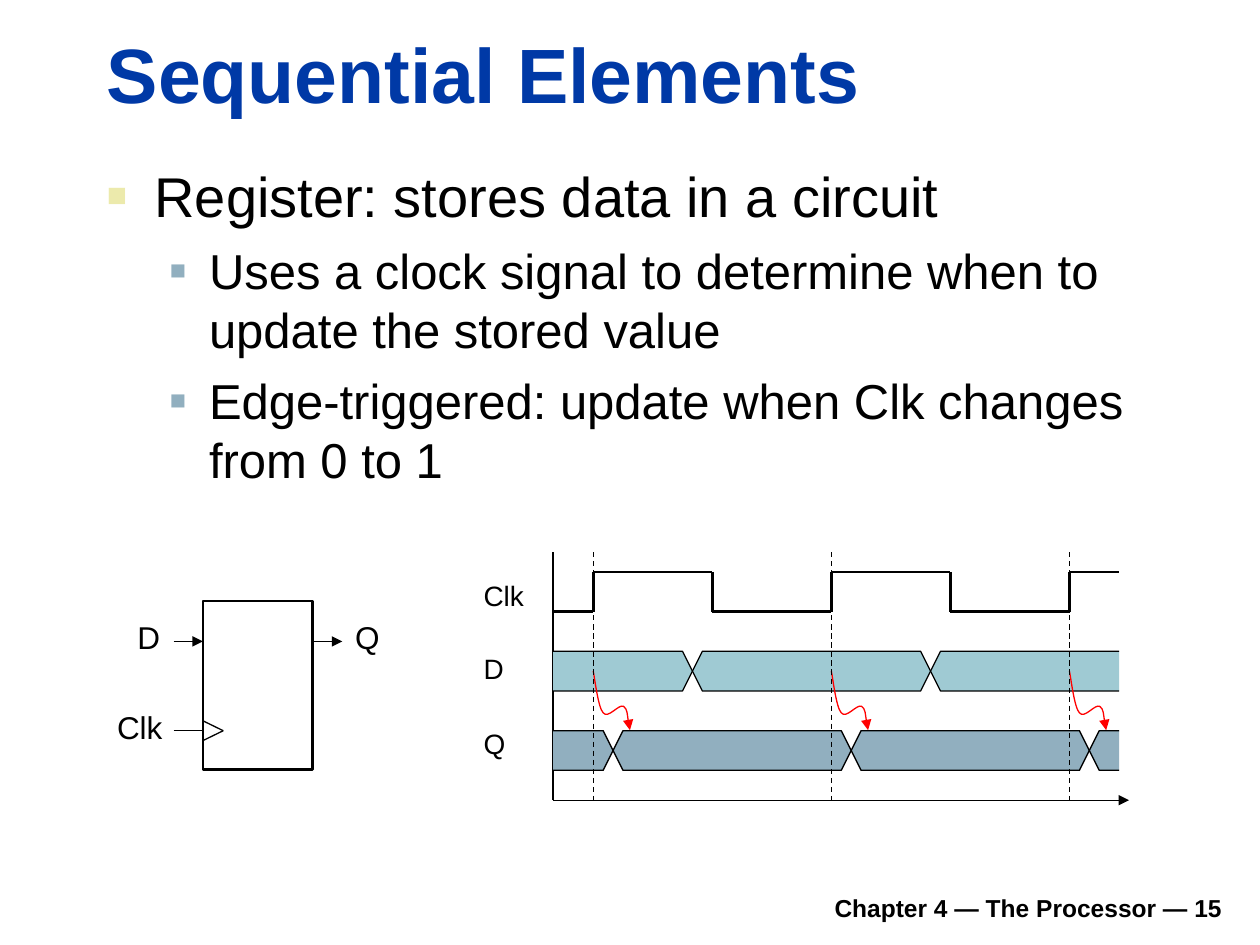
"""Build the slide on sequential elements: bullets, a register and its timing diagram."""
from lxml.etree import SubElement
from pptx import Presentation
from pptx.dml.color import RGBColor
from pptx.enum.dml import MSO_LINE_DASH_STYLE as Dash
from pptx.enum.shapes import MSO_CONNECTOR as Link, MSO_SHAPE as Form
from pptx.enum.text import MSO_ANCHOR as Anchor, MSO_AUTO_SIZE as Fit, PP_ALIGN as Align
from pptx.oxml.ns import qn
from pptx.util import Cm, Pt

BLACK = RGBColor(0x00, 0x00, 0x00)
BLUE = RGBColor(0x00, 0x39, 0xA6)
CREAM = RGBColor(0xEC, 0xEA, 0xAC)
STEEL = RGBColor(0x91, 0xAF, 0xBF)
TEAL = RGBColor(0x9F, 0xCA, 0xD3)
RED = RGBColor(0xFF, 0x00, 0x00)
LEFT, END, RISE, CYCLE = 11.15, 22.56, 11.96, 4.8
HIGH, LOW = 11.53, 12.33
TOP, BASE = 11.13, 16.13

deck = Presentation()
deck.slide_width, deck.slide_height = Cm(25.4), Cm(19.05)
slide = deck.slides.add_slide(deck.slide_layouts[1])
shapes = slide.shapes


def ink(shape, color=BLACK, width=0.75, tip=False, dash=None):
    shape.line.color.rgb = color
    shape.line.width = Pt(width)
    if dash:
        shape.line.dash_style = dash
    props = shape._element.spPr
    if tip:
        SubElement(props.find(qn("a:ln")), qn("a:tailEnd"), type="triangle")
    SubElement(props, qn("a:effectLst"))


def wire(x1, y1, x2, y2, **style):
    line = shapes.add_connector(Link.STRAIGHT, Cm(x1), Cm(y1), Cm(x2), Cm(y2))
    ink(line, **style)


title, body = slide.placeholders
title.left, title.top, title.width, title.height = Cm(1.9), Cm(0.41), Cm(22.94), Cm(2.11)
title.text_frame.text = "Sequential Elements"
title.text_frame.vertical_anchor = Anchor.BOTTOM
title.text_frame.auto_size = Fit.NONE
head = title.text_frame.paragraphs[0]
head.alignment = Align.LEFT
head.font.name, head.font.size, head.font.bold = "Arial", Pt(44), True
head.font.color.rgb = BLUE

body.left, body.top, body.width, body.height = Cm(1.9), Cm(3.12), Cm(22.96), Cm(7.67)
body.text_frame.text = "\n".join([
    "Register: stores data in a circuit",
    "Uses a clock signal to determine when to update the stored value",
    "Edge-triggered: update when Clk changes from 0 to 1",
])
body.text_frame.auto_size = Fit.NONE
looks = [(0.96, 0.96, 8, CREAM, 60, 32), (2.06, 0.79, 7, STEEL, 55, 28)]
for num, para in enumerate(body.text_frame.paragraphs):
    para.level = min(num, 1)
    inset, hang, gap, color, scale, size = looks[para.level]
    para.space_before = Pt(gap)
    props = para._p.get_or_add_pPr()
    props.set("marL", str(Cm(inset)))
    props.set("indent", str(-Cm(hang)))
    SubElement(SubElement(props, qn("a:buClr")), qn("a:srgbClr"), val=str(color))
    SubElement(props, qn("a:buSzPct"), val=str(scale * 1000))
    SubElement(props, qn("a:buFont"), typeface="Arial")
    SubElement(props, qn("a:buChar"), char="■")
    para.font.name, para.font.size = "Arial", Pt(size)
    para.font.color.rgb = BLACK

labels = [
    ("D", 2.52, 12.34, 0.97, 1.02, 18),
    ("Clk", 2.11, 14.15, 1.42, 1.02, 18),
    ("Q", 6.91, 12.34, 0.99, 1.02, 18),
    ("Clk", 9.5, 11.53, 1.32, 0.94, 16),
    ("D", 9.5, 13, 0.91, 0.94, 16),
    ("Q", 9.5, 14.53, 0.94, 0.94, 16),
    ("Chapter 4 — The Processor — 15", 4.7, 17.73, 20.19, 0.99, 14),
]
for words, x, y, wide, tall, size in labels:
    box = shapes.add_textbox(Cm(x), Cm(y), Cm(wide), Cm(tall))
    para = box.text_frame.paragraphs[0]
    para.text = words
    para.font.name, para.font.size = "Arial", Pt(size)
    para.font.color.rgb = BLACK
box.text_frame.word_wrap = True
box.text_frame.vertical_anchor = Anchor.BOTTOM
para.alignment = Align.RIGHT
para.font.bold = True

cell = shapes.add_shape(Form.RECTANGLE, Cm(4.09), Cm(12.12), Cm(2.21), Cm(3.4))
cell.fill.background()
ink(cell, width=1.5)
wire(3.5, 12.93, 4.09, 12.93, width=1, tip=True)
wire(6.3, 12.93, 6.9, 12.93, width=1, tip=True)
wire(3.5, 14.73, 4.09, 14.73)
for y in (14.53, 14.93):
    wire(4.09, y, 4.5, 14.73)

x, y = LEFT, LOW
for step in range(5):
    edge = RISE + step * CYCLE / 2
    wire(x, y, edge, y, width=1.5)
    wire(edge, HIGH, edge, LOW, width=1.5)
    x, y = edge, HIGH + LOW - y
wire(x, y, END, y, width=1.5)
wire(LEFT, BASE, 22.76, BASE, tip=True)
wire(LEFT, BASE, LEFT, TOP)

for top, first, count, color in [(13.13, 13.96, 2, TEAL), (14.73, 12.36, 3, STEEL)]:
    mid, low = top + 0.4, top + 0.8
    cuts = [LEFT] + [first + i * CYCLE for i in range(count)] + [END]
    for a, b in zip(cuts, cuts[1:]):
        east = [(b - 0.2, top), (b, mid), (b - 0.2, low)]
        west = [(a + 0.2, low), (a, mid), (a + 0.2, top)]
        if a == LEFT:
            dots = [(a, top)] + east + [(a, low)]
        elif b == END:
            dots = [(b, low)] + west + [(b, top)]
        else:
            dots = east + west
        dots = [(Cm(x), Cm(y)) for x, y in dots]
        pen = shapes.build_freeform(*dots[0])
        pen.add_line_segments(dots[1:], close=a != LEFT and b != END)
        band = pen.convert_to_shape()
        band.fill.solid()
        band.fill.fore_color.rgb = color
        ink(band)

bends = [(0.03, 0.15), (0.1, 0.74), (0.2, 0.84), (0.3, 0.97), (0.51, 0.66),
         (0.61, 0.71), (0.69, 0.76), (0.71, 1.09), (0.74, 1.19)]
for turn in range(3):
    x, y = RISE + turn * CYCLE, 13.53
    pen = shapes.build_freeform(Cm(x), Cm(y))
    pen.add_line_segments([(Cm(x + dx), Cm(y + dy)) for dx, dy in bends], close=False)
    curve = pen.convert_to_shape()
    curve.fill.background()
    ink(curve, RED, tip=True)
    parts = list(curve._element.iter(qn("a:lnTo")))
    track = parts[0].getparent()
    for i in range(0, len(parts), 3):
        arc = SubElement(track, qn("a:cubicBezTo"))
        for part in parts[i:i + 3]:
            arc.append(part[0])
            track.remove(part)
    wire(x, TOP, x, BASE, dash=Dash.DASH)

deck.save("out.pptx")
